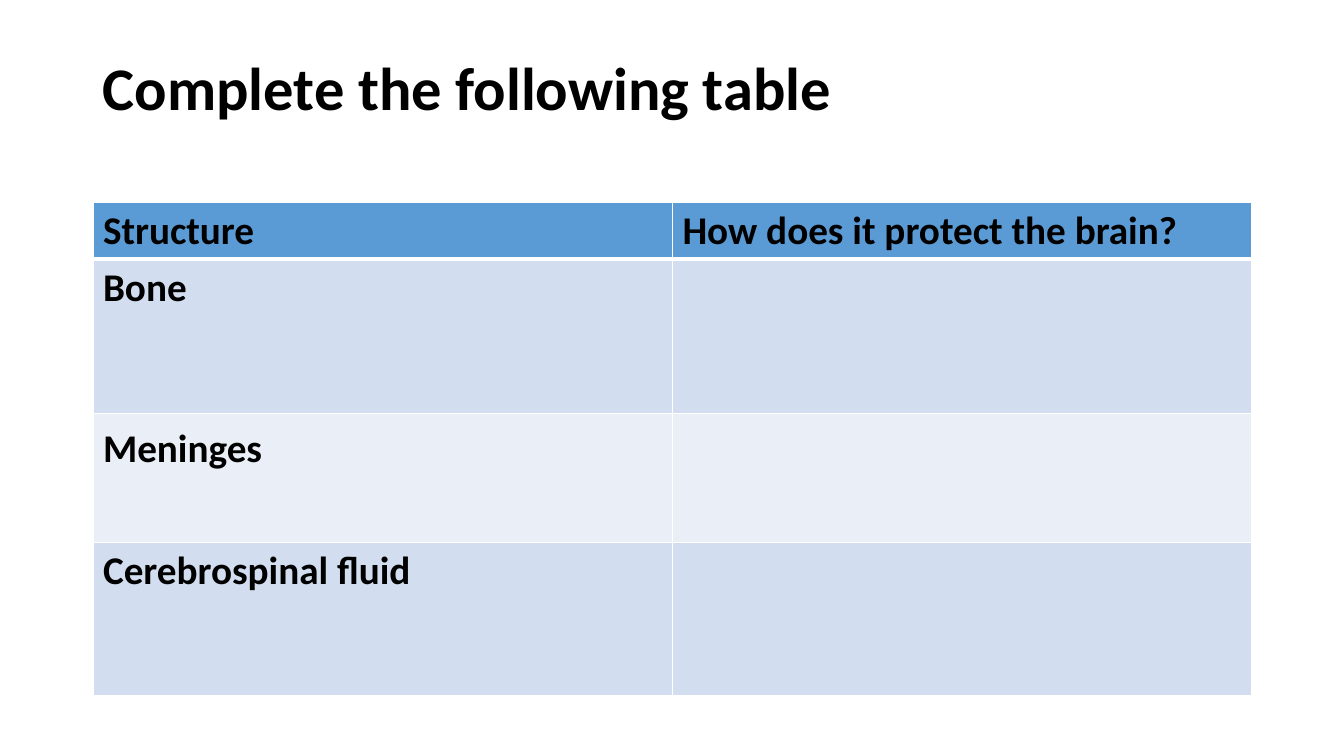
from lxml import etree
from pptx import Presentation
from pptx.dml.color import RGBColor
from pptx.enum.text import MSO_ANCHOR
from pptx.oxml.ns import qn
from pptx.util import Pt

TOP = MSO_ANCHOR.TOP
EMU_PER_PX = 914400 / 100.8
LEFT, WIDTH = 93, 1159
ROWS = [
    ("Structure", "How does it protect the brain?", 57, "5B9BD5", 1.0),
    ("Bone", "", 154, "D2DEEF", 1.0),
    ("Meninges", "", 129, "EAEFF7", 1.15),
    ("Cerebrospinal fluid", "", 153, "D2DEEF", 1.0),
]


def px(length):
    return round(length * EMU_PER_PX)


def color(value):
    return RGBColor.from_string(value)


class Worksheet:
    font_name = "Calibri"
    ink = "000000"
    rule = "FFFFFF"

    def __init__(self, presentation):
        self.slide = presentation.slides.add_slide(presentation.slide_layouts[6])

    def set_words(self, paragraph, words, size, spacing):
        paragraph.text = words
        paragraph.line_spacing = spacing
        font = paragraph.font
        font.name, font.size, font.bold = self.font_name, Pt(size), True
        font.color.rgb = color(self.ink)

    def title(self, words, left, top, width, height):
        frame = self.slide.shapes.add_textbox(
            px(left), px(top), px(width), px(height)).text_frame
        frame.word_wrap = True
        frame.vertical_anchor = TOP
        frame.margin_top = frame.margin_bottom = 0
        self.set_words(frame.paragraphs[0], words, 43.2, 0.9)

    def border(self, cell, side, points):
        properties = cell._tc.get_or_add_tcPr()
        line = etree.SubElement(properties, qn(f"a:ln{side}"), w=str(Pt(points)))
        fill = etree.SubElement(line, qn("a:solidFill"))
        etree.SubElement(fill, qn("a:srgbClr"), val=self.rule)

    def table(self, rows, left, top, width):
        height = sum(row[2] for row in rows)
        table = self.slide.shapes.add_table(
            len(rows), 2, px(left), px(top), px(width), px(height)).table
        for index, (structure, protection, row_height, shade, spacing) in enumerate(rows):
            table.rows[index].height = px(row_height)
            for column, words in enumerate((structure, protection)):
                cell = table.cell(index, column)
                self.set_words(cell.text_frame.paragraphs[0], words, 28, spacing)
                weights = {"L": 1, "R": 1, "T": 3 if index == 1 else 1,
                           "B": 3 if index == 0 else 1}
                for side, points in weights.items():
                    self.border(cell, side, points)
                cell.fill.solid()
                cell.fill.fore_color.rgb = color(shade)


def main():
    presentation = Presentation()
    presentation.slide_width, presentation.slide_height = px(1344), px(756)
    worksheet = Worksheet(presentation)
    worksheet.title("Complete the following table", LEFT, 58, WIDTH, 124)
    worksheet.table(ROWS, LEFT, 202, WIDTH)
    presentation.save("out.pptx")


if __name__ == "__main__":
    main()
